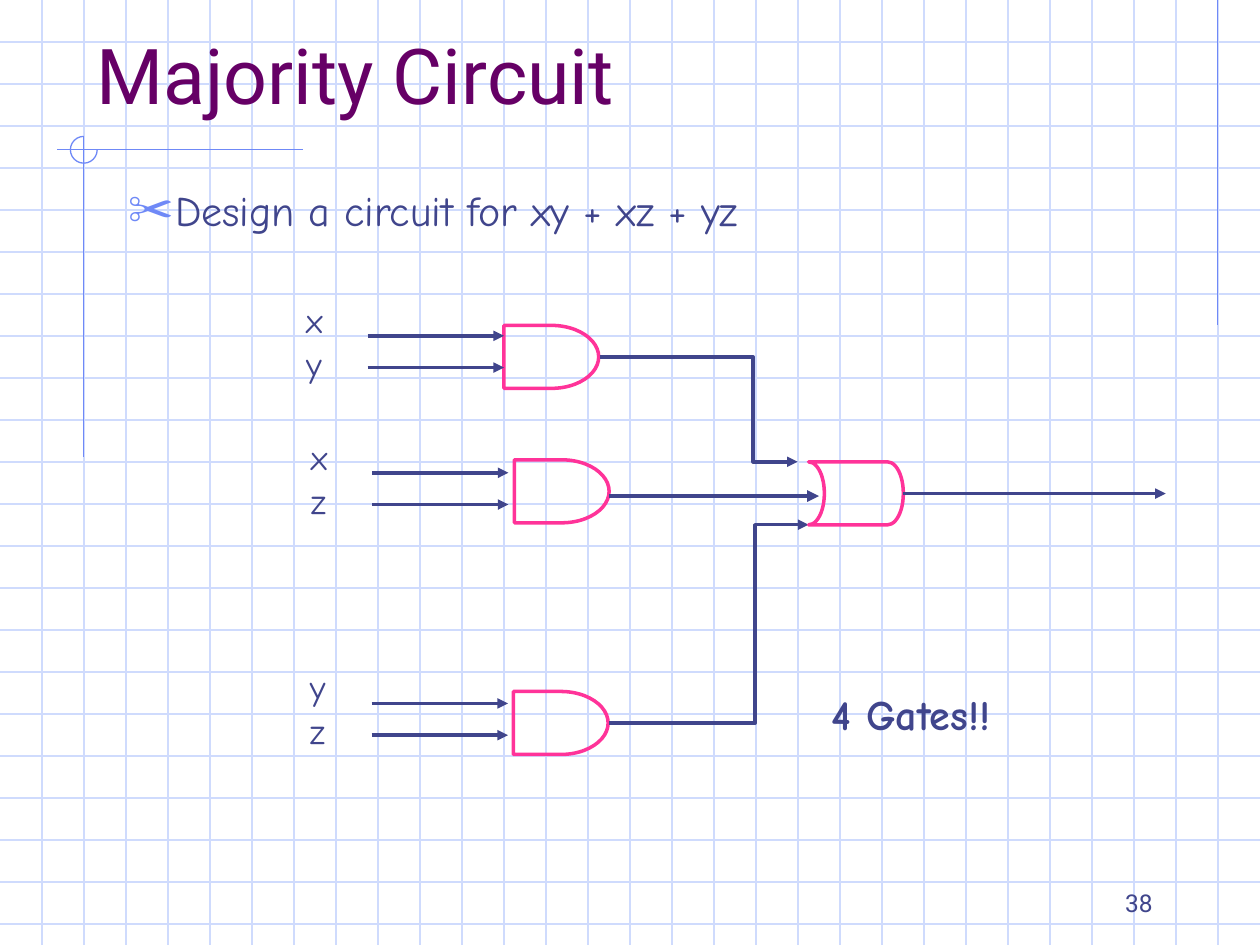
from dataclasses import dataclass

from lxml import etree
from pptx import Presentation
from pptx.dml.color import RGBColor
from pptx.enum.shapes import MSO_CONNECTOR, MSO_SHAPE
from pptx.enum.text import MSO_ANCHOR, MSO_AUTO_SIZE, PP_ALIGN
from pptx.oxml.ns import qn
from pptx.util import Cm, Pt

STRAIGHT, ELBOW = MSO_CONNECTOR.STRAIGHT, MSO_CONNECTOR.ELBOW
AND_GATE, OR_GATE = MSO_SHAPE.FLOWCHART_DELAY, MSO_SHAPE.FLOWCHART_STORED_DATA
ARC = MSO_SHAPE.ARC
TOP, BOTTOM = MSO_ANCHOR.TOP, MSO_ANCHOR.BOTTOM
LEFT, RIGHT = PP_ALIGN.LEFT, PP_ALIGN.RIGHT
FIT_SHAPE, NO_FIT = MSO_AUTO_SIZE.SHAPE_TO_FIT_TEXT, MSO_AUTO_SIZE.NONE

WIDTH, HEIGHT = 25.4, 19.05
CELL = 2.54 / 3
GRID, FRAME, INK, PINK, PURPLE = "CFDBFD", "6F89F7", "40458C", "FF3399", "660066"
HEAD_FONT, BODY_FONT = "Roboto", "Comic Neue"


@dataclass
class Wire:
    x1: float
    y1: float
    x2: float
    y2: float
    color: str = INK
    width: float = 2
    arrow: bool = True
    bend: float | None = None


@dataclass
class Gate:
    x: float
    y: float
    kind: int = AND_GATE
    rotation: float = 0


@dataclass
class Label:
    text: str
    x: float
    y: float
    w: float
    h: float
    size: float
    font: str = BODY_FONT
    bold: bool = False
    align: int = LEFT
    anchor: int = TOP
    fit: int = FIT_SHAPE


@dataclass
class Stage:
    gate: Gate
    names: str
    label_x: float
    label_y: float
    wire_x: float
    wire_y: float
    output: Wire


def rgb(value: str) -> RGBColor:
    return RGBColor.from_string(value)


def draw_wire(s, wire: Wire) -> None:
    kind = STRAIGHT if wire.bend is None else ELBOW
    ends = (Cm(v) for v in (wire.x1, wire.y1, wire.x2, wire.y2))
    c = s.shapes.add_connector(kind, *ends)
    c.line.color.rgb = rgb(wire.color)
    c.line.width = Pt(wire.width)
    sp_pr = c.element.spPr
    if wire.arrow:
        etree.SubElement(sp_pr.find(qn("a:ln")), qn("a:tailEnd"), type="triangle")
    if wire.bend is not None:
        guides = sp_pr.find(qn("a:prstGeom")).find(qn("a:avLst"))
        etree.SubElement(guides, qn("a:gd"), name="adj1", fmla=f"val {round(wire.bend * 100000)}")
    etree.SubElement(sp_pr, qn("a:effectLst"))


def draw_outline(s, kind: int, x: float, y: float, w: float, h: float, color: str, width: float):
    sp = s.shapes.add_shape(kind, Cm(x), Cm(y), Cm(w), Cm(h))
    sp.shadow.inherit = False
    sp.fill.background()
    sp.line.color.rgb = rgb(color)
    sp.line.width = Pt(width)
    return sp


def draw_gate(s, gate: Gate) -> None:
    sp = draw_outline(s, gate.kind, gate.x, gate.y, 1.91, 1.27, PINK, 2)
    sp.rotation = gate.rotation


def format_text(sp, label: Label, color: str) -> None:
    sp.left, sp.top, sp.width, sp.height = (Cm(v) for v in (label.x, label.y, label.w, label.h))
    tf = sp.text_frame
    tf.text = label.text
    tf.word_wrap = True
    tf.auto_size = label.fit
    tf.vertical_anchor = label.anchor
    tf.margin_left = tf.margin_right = Cm(0.25)
    tf.margin_top = tf.margin_bottom = Cm(0.13)
    p = tf.paragraphs[0]
    p.alignment = label.align
    font = p.runs[0].font
    font.name, font.size, font.bold = label.font, Pt(label.size), label.bold
    font.color.rgb = rgb(color)


def draw_label(s, label: Label):
    sp = s.shapes.add_textbox(Cm(label.x), Cm(label.y), Cm(label.w), Cm(label.h))
    format_text(sp, label, INK)
    return sp


def add_bullet(p, char: str, color: str, percent: int, indent: float) -> None:
    p_pr = p._p.get_or_add_pPr()
    p_pr.set("marL", str(Cm(indent)))
    p_pr.set("indent", str(-Cm(indent)))
    bu_color = etree.SubElement(p_pr, qn("a:buClr"))
    etree.SubElement(bu_color, qn("a:srgbClr"), val=color)
    etree.SubElement(p_pr, qn("a:buSzPct"), val=str(percent * 1000))
    etree.SubElement(p_pr, qn("a:buFont"), typeface=BODY_FONT)
    etree.SubElement(p_pr, qn("a:buChar"), char=char)


def draw_background(s) -> None:
    for i in range(1, 23):
        draw_wire(s, Wire(0, i * CELL, WIDTH, i * CELL, GRID, 0.75, False))
    for i in range(1, 30):
        draw_wire(s, Wire(i * CELL, 0, i * CELL, HEIGHT, GRID, 0.75, False))
    for ends in ((24.55, 0, 24.55, 6.55), (6.1, 3.02, 1.14, 3.02), (1.69, 2.77, 1.69, 9.22)):
        draw_wire(s, Wire(*ends, FRAME, 0.75, False))
    arc = draw_outline(s, ARC, 1.42, 2.75, 0.54, 0.54, FRAME, 0.75)
    arc.adjustments[0] = 0
    arc.adjustments[1] = 162


def draw_stage(s, stage: Stage) -> None:
    draw_gate(s, stage.gate)
    for i, name in enumerate(stage.names):
        draw_label(s, Label(name, stage.label_x, stage.label_y + i * 0.89, 1.07, 1.12, 20))
        y = stage.wire_y + i * 0.64
        draw_wire(s, Wire(stage.wire_x, y, stage.wire_x + 2.75, y))
    draw_wire(s, stage.output)


STAGES = [
    Stage(Gate(10.16, 6.56), "xy", 5.92, 5.89, 7.41, 6.77,
          Wire(12.09, 7.2, 16.08, 9.31, bend=0.775)),
    Stage(Gate(10.37, 9.27), "xz", 6.02, 8.65, 7.5, 9.53,
          Wire(12.27, 10, 16.51, 10, width=2.25)),
    Stage(Gate(10.35, 13.94), "yz", 6, 13.29, 7.49, 14.18,
          Wire(12.28, 14.58, 16.3, 10.58, bend=0.732)),
]


def main() -> None:
    prs = Presentation()
    prs.slide_width, prs.slide_height = Cm(WIDTH), Cm(HEIGHT)
    s = prs.slides.add_slide(prs.slide_layouts[5])
    draw_background(s)

    title = s.shapes.title
    title.element.getparent().append(title.element)
    heading = Label("Majority Circuit", 1.69, 0.85, 22.86, 1.69, 44, HEAD_FONT,
                    anchor=BOTTOM, fit=NO_FIT)
    format_text(title, heading, PURPLE)

    task = Label("Design a circuit for xy + xz + yz", 2.33, 3.6, 21.59, 13.76, 24, fit=NO_FIT)
    body = draw_label(s, task)
    add_bullet(body.text_frame.paragraphs[0], "✂", FRAME, 110, 0.95)

    for stage in STAGES:
        draw_stage(s, stage)
    draw_gate(s, Gate(16.3, 9.31, OR_GATE, 180))
    draw_wire(s, Wire(18.21, 9.95, 23.5, 9.95))
    draw_label(s, Label("4 Gates!!", 16.51, 13.76, 5.72, 1.27, 24, bold=True))
    draw_label(s, Label("38", 18.2, 17.99, 5.29, 0.64, 14, HEAD_FONT,
                        align=RIGHT, anchor=BOTTOM, fit=NO_FIT))
    prs.save("out.pptx")


if __name__ == "__main__":
    main()
